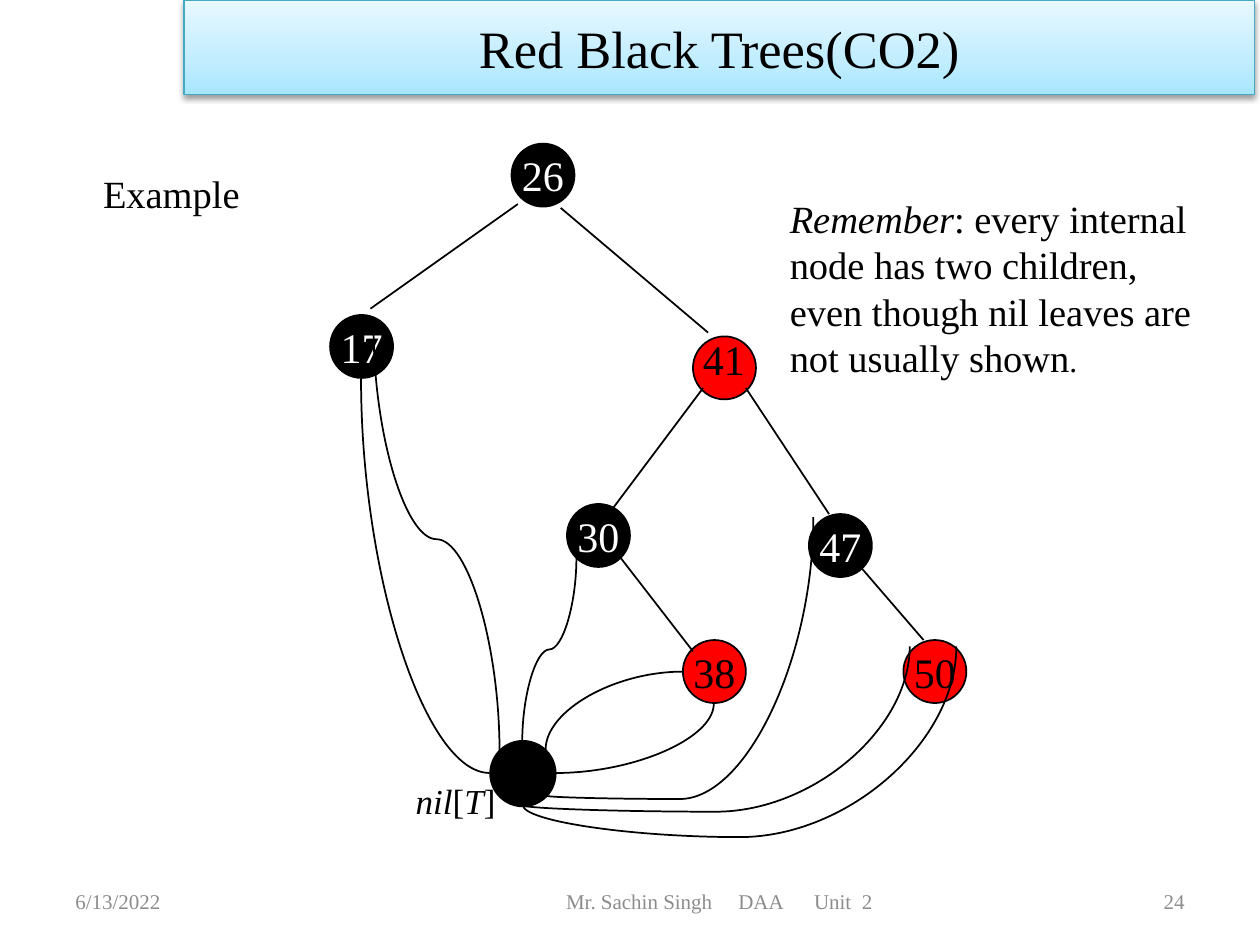
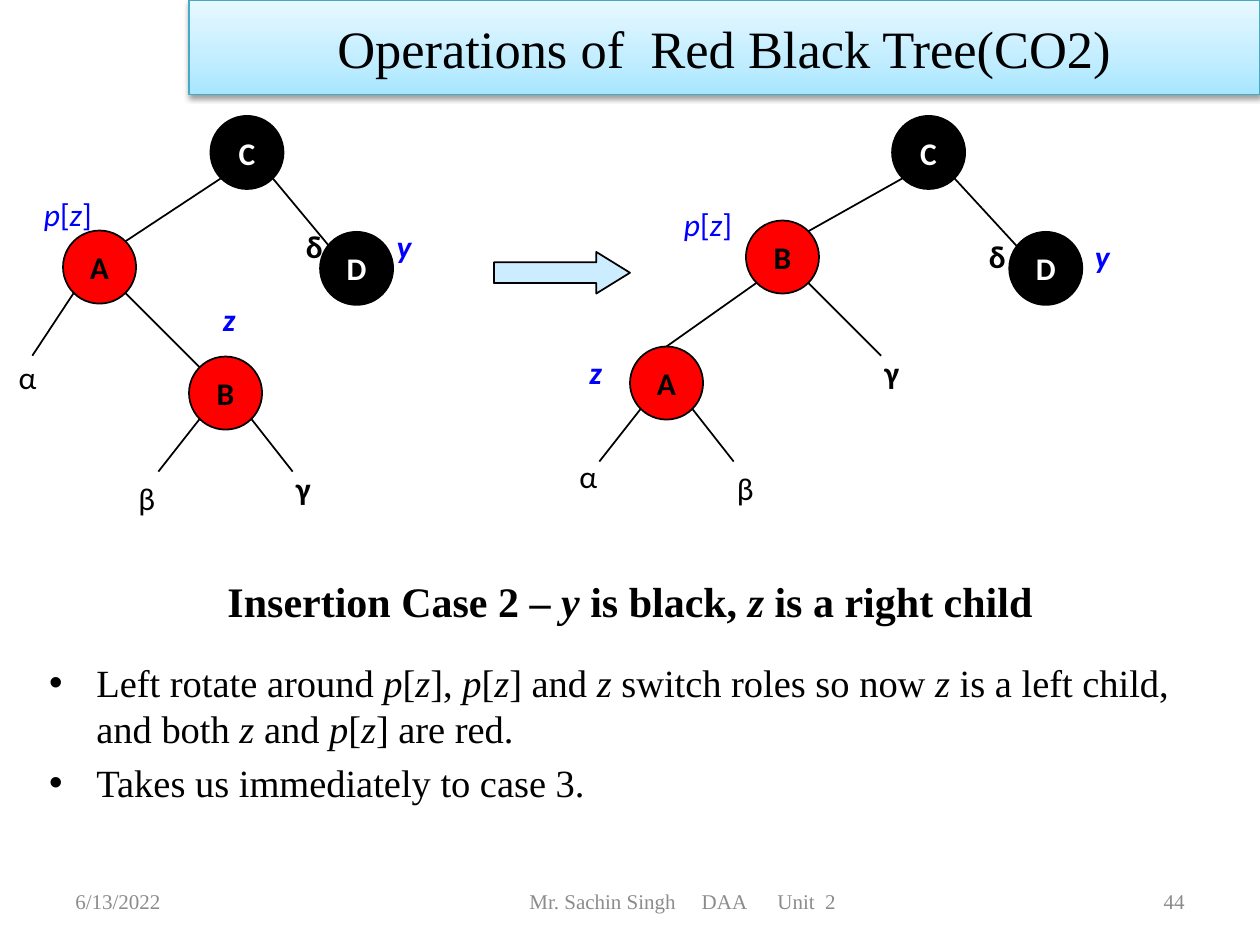
from lxml.etree import SubElement
from pptx import Presentation
from pptx.dml.color import RGBColor
from pptx.enum.shapes import MSO_CONNECTOR, MSO_SHAPE
from pptx.enum.text import MSO_ANCHOR, PP_ALIGN
from pptx.oxml import parse_xml
from pptx.oxml.ns import nsdecls, qn
from pptx.util import Inches, Pt

COLORS = {
    "black": "000000", "white": "FFFFFF", "red": "FF0000", "blue": "0000FF",
    "gray": "8C8C8C", "arrow": "CCECFF", "band_line": "46AAC5",
    "band_bottom": "A7E6FF", "band_middle": "C1EDFF", "band_top": "E7F8FF",
}
SERIF, SANS = "Times New Roman", "Calibri"
FOOTER = "Mr. Sachin Singh     DAA      Unit  2"
DATE = "6/13/2022"
CORNERS = {
    "NW": (0.15, 0.15), "N": (0.5, 0), "NE": (0.85, 0.15),
    "SW": (0.15, 0.85), "SE": (0.85, 0.85), "inside": (0.32, 0.43),
}


def rgb(name):
    return RGBColor.from_string(COLORS[name])


def write(paragraph, text, size, font=SERIF, color="black", bold=False, align=None):
    """Text between asterisks is set in italics."""
    paragraph.alignment = align
    paragraph.font.size = Pt(size)
    paragraph.font.name = font
    paragraph.font.color.rgb = rgb(color)
    paragraph.font.bold = bold
    for index, piece in enumerate(text.split("*")):
        if piece:
            run = paragraph.add_run()
            run.text = piece
            if index % 2:
                run.font.italic = True


def add_text(slide, box, text, size, anchor=MSO_ANCHOR.TOP, **style):
    frame = slide.shapes.add_textbox(*map(Inches, box)).text_frame
    frame.word_wrap = True
    frame.vertical_anchor = anchor
    write(frame.paragraphs[0], text, size, **style)


def add_outlined(slide, kind, box, fill):
    shape = slide.shapes.add_shape(kind, *map(Inches, box))
    shape.shadow.inherit = False
    shape.fill.solid()
    shape.fill.fore_color.rgb = rgb(fill)
    shape.line.color.rgb = rgb("black")
    shape.line.width = Pt(1)
    return shape


def add_node(slide, left, top, diameter, fill, text="", size=24, **style):
    node = add_outlined(slide, MSO_SHAPE.OVAL, (left, top, diameter, diameter), fill)
    if text:
        frame = node.text_frame
        frame.word_wrap = False
        frame.vertical_anchor = MSO_ANCHOR.MIDDLE
        write(frame.paragraphs[0], text, size, align=PP_ALIGN.CENTER,
              color="white" if fill == "black" else "black", **style)


def add_line(slide, start, end, kind=MSO_CONNECTOR.STRAIGHT):
    line = slide.shapes.add_connector(kind, *map(Inches, (*start, *end)))
    line.line.color.rgb = rgb("black")
    line.line.width = Pt(1)
    SubElement(line._element.spPr, qn("a:effectLst"))
    return line


def add_curve(slide, box, rotation, flip=None, bend=None):
    left, top, width, height = box
    curve = add_line(slide, (left, top), (left + width, top + height), MSO_CONNECTOR.CURVE)
    properties = curve._element.spPr
    frame = properties.find(qn("a:xfrm"))
    frame.set("rot", str(rotation * 60000))
    if flip:
        frame.set(flip, "1")
    geometry = properties.find(qn("a:prstGeom"))
    if bend is None:
        geometry.set("prst", "curvedConnector2")
    else:
        SubElement(geometry.find(qn("a:avLst")), qn("a:gd"),
                   name="adj1", fmla=f"val {round(bend * 100000)}")


def add_band(slide, left, text):
    band = slide.shapes.add_shape(MSO_SHAPE.RECTANGLE, Inches(left), 0, Inches(8.5), Inches(0.75))
    band.line.color.rgb = rgb("band_line")
    band.line.width = Pt(0.75)
    stops = "".join(
        f'<a:gs pos="{position}"><a:srgbClr val="{COLORS[name]}"/></a:gs>'
        for position, name in ((0, "band_bottom"), (35000, "band_middle"), (100000, "band_top")))
    outline = band._element.spPr.find(qn("a:ln"))
    outline.addprevious(parse_xml(
        f'<a:gradFill {nsdecls("a")} rotWithShape="1"><a:gsLst>{stops}</a:gsLst>'
        '<a:lin ang="16200000" scaled="0"/></a:gradFill>'))
    outline.addnext(parse_xml(
        f'<a:effectLst {nsdecls("a")}><a:outerShdw blurRad="40000" dist="20000" dir="5400000" '
        f'rotWithShape="0"><a:srgbClr val="{COLORS["black"]}"><a:alpha val="38000"/>'
        '</a:srgbClr></a:outerShdw></a:effectLst>'))
    band.text_frame.vertical_anchor = MSO_ANCHOR.MIDDLE
    write(band.text_frame.paragraphs[0], text, 30, align=PP_ALIGN.CENTER)


def add_footer(slide, number, center_width):
    for left, width, text, align in (
        (0.5, 2.33, DATE, PP_ALIGN.LEFT),
        (3.42, center_width, FOOTER, PP_ALIGN.CENTER),
        (7.17, 2.33, number, PP_ALIGN.RIGHT),
    ):
        add_text(slide, (left, 6.95, width, 0.4), text, 12,
                 anchor=MSO_ANCHOR.MIDDLE, color="gray", align=align)


def draw_number_tree(slide, left, top):
    def at(x, y):
        return left + x, top + y

    for x, y, fill, text in (
        (1.44, 0, "black", "26"), (0, 1.36, "black", "17"), (2.88, 1.53, "red", ""),
        (1.88, 2.86, "black", "30"), (3.8, 2.94, "black", "47"),
        (2.8, 3.94, "red", "38"), (4.55, 3.94, "red", "50"),
    ):
        add_node(slide, *at(x, y), 0.5, fill, text)
    add_text(slide, (*at(2.86, 1.46), 0.6, 0.5), "41", 24)
    for start, end in (
        ((1.49, 0.48), (0.32, 1.31)), ((1.83, 0.51), (3, 1.5)),
        ((2.96, 1.94), (2.21, 2.94)), ((3.3, 1.94), (3.96, 2.94)),
        ((4.21, 3.36), (4.71, 3.94)), ((2.3, 3.28), (2.88, 4.03)),
    ):
        add_line(slide, at(*start), at(*end))

    add_node(slide, *at(1.27, 4.74), 0.52, "black")
    for x, y, width, height, rotation, flip, bend in (
        (1.71, 4.19, 1.09, 0.62, 180, "flipV", None),
        (2.14, 4.09, 0.55, 1.26, 90, None, None),
        (1.67, 3.01, 2.21, 2.12, 90, None, 1.012),
        (1.01, 3.8, 1.46, 0.43, 90, None, 0.5),
        (-0.84, 2.64, 3.37, 1, 270, "flipH", 0.5),
        (-0.81, 2.92, 3.13, 1.02, 270, "flipH", None),
        (2.43, 3.08, 1.26, 3.08, 90, None, 1.042),
        (2.62, 2.9, 1.26, 3.44, 90, None, 1.202),
    ):
        add_curve(slide, (*at(x, y), width, height), rotation, flip, bend)
    add_text(slide, (*at(0.58, 5), 0.95, 0.44), "*nil*[*T*]", 20)


def draw_rotation_tree(slide, left, top, nodes, edges, leaf_edges, labels):
    diameter = 0.58

    def corner(name, side):
        x, y, _ = nodes[name]
        across, down = CORNERS[side]
        return left + x + across * diameter, top + y + down * diameter

    for name, (x, y, fill) in nodes.items():
        add_node(slide, left + x, top + y, diameter, fill, name, 18, font=SANS, bold=True)
    for parent, side, child, child_side in edges:
        add_line(slide, corner(parent, side), corner(child, child_side))
    for parent, side, across, down in leaf_edges:
        x, y = corner(parent, side)
        add_line(slide, (x, y), (x + across, y + down))
    for text, x, y, color, bold in labels:
        add_text(slide, (left + x, top + y, 0.72, 0.5), text, 18,
                 font=SANS, color=color, bold=bold)


def build_example_slide(presentation):
    slide = presentation.slides.add_slide(presentation.slide_layouts[6])
    draw_number_tree(slide, 2.62, 1.14)
    add_text(slide, (6.17, 1.5, 3.5, 1.58),
             "*Remember*: every internal node has two children, "
             "even though nil leaves are not usually shown", 22)
    period = slide.shapes[-1].text_frame.paragraphs[0].add_run()
    period.text = "."
    period.font.size = Pt(18)
    add_band(slide, 1.46, "Red Black Trees(CO2)")
    add_text(slide, (0.21, 1.3, 2.3, 0.47), "Example", 22, align=PP_ALIGN.CENTER)
    add_footer(slide, "24", 4.58)


def fill_placeholders(slide, heading, bullets):
    title, body = slide.shapes.title, slide.placeholders[1]
    for shape, box in ((title, (0, 4.37, 10, 0.8)), (body, (0.29, 5.18, 9.25, 1.33))):
        shape.left, shape.top, shape.width, shape.height = map(Inches, box)
    title.text_frame.vertical_anchor = MSO_ANCHOR.MIDDLE
    write(title.text_frame.paragraphs[0], heading, 24, bold=True, align=PP_ALIGN.CENTER)
    for index, text in enumerate(bullets):
        frame = body.text_frame
        paragraph = frame.add_paragraph() if index else frame.paragraphs[0]
        paragraph.space_before = Pt(4.4 if index else 0)
        write(paragraph, text, 22)


def build_operations_slide(presentation):
    slide = presentation.slides.add_slide(presentation.slide_layouts[1])
    fill_placeholders(slide, "Insertion Case 2 – *y *is black, *z* is a right child", (
        "Left rotate around *p*[*z*], *p*[*z*] and *z* switch roles so now *z *is a left child, "
        "and both *z *and *p*[*z*] are red.",
        "Takes us immediately to case 3.",
    ))
    draw_rotation_tree(
        slide, 0, 0.92,
        nodes={"C": (1.67, 0, "black"), "A": (0.5, 0.91, "red"),
               "B": (1.5, 1.91, "red"), "D": (2.54, 0.92, "black")},
        edges=(("C", "SW", "A", "NE"), ("C", "SE", "D", "inside"), ("A", "SE", "B", "NW")),
        leaf_edges=(("A", "SW", -0.33, 0.5), ("B", "SW", -0.33, 0.42), ("B", "SE", 0.33, 0.42)),
        labels=(("α", 0.05, 1.87, "black", False), ("β", 1, 2.83, "black", False),
                ("γ", 2.25, 2.75, "black", True), ("δ", 2.33, 0.83, "black", True),
                ("*z*", 1.67, 1.41, "blue", True), ("*y*", 3.05, 0.83, "blue", True),
                ("*p*[*z*]", 0.25, 0.58, "blue", False)))
    arrow = add_outlined(slide, MSO_SHAPE.RIGHT_ARROW, (3.92, 2, 1.08, 0.33), "arrow")
    arrow.adjustments[1] = 0.81
    draw_rotation_tree(
        slide, 4.5, 0.92,
        nodes={"C": (2.58, 0, "black"), "B": (1.42, 0.83, "red"),
               "A": (0.5, 1.83, "red"), "D": (3.51, 0.92, "black")},
        edges=(("C", "SW", "B", "NE"), ("C", "SE", "D", "inside"), ("B", "SW", "A", "N")),
        leaf_edges=(("A", "SW", -0.33, 0.42), ("A", "SE", 0.33, 0.42), ("B", "SE", 0.58, 0.58)),
        labels=(("α", 0, 2.66, "black", False), ("β", 1.25, 2.75, "black", False),
                ("γ", 2.42, 1.83, "black", True), ("δ", 3.25, 0.91, "black", True),
                ("*z*", 0.08, 1.83, "blue", True), ("*y*", 4.09, 0.91, "blue", True),
                ("*p*[*z*]", 0.83, 0.66, "blue", False)))
    add_footer(slide, "44", 4)
    add_band(slide, 1.5, "Operations of  Red Black Tree(CO2)")


def main():
    presentation = Presentation()
    presentation.slide_width, presentation.slide_height = Inches(10), Inches(7.5)
    build_example_slide(presentation)
    build_operations_slide(presentation)
    presentation.save("out.pptx")


if __name__ == "__main__":
    main()
